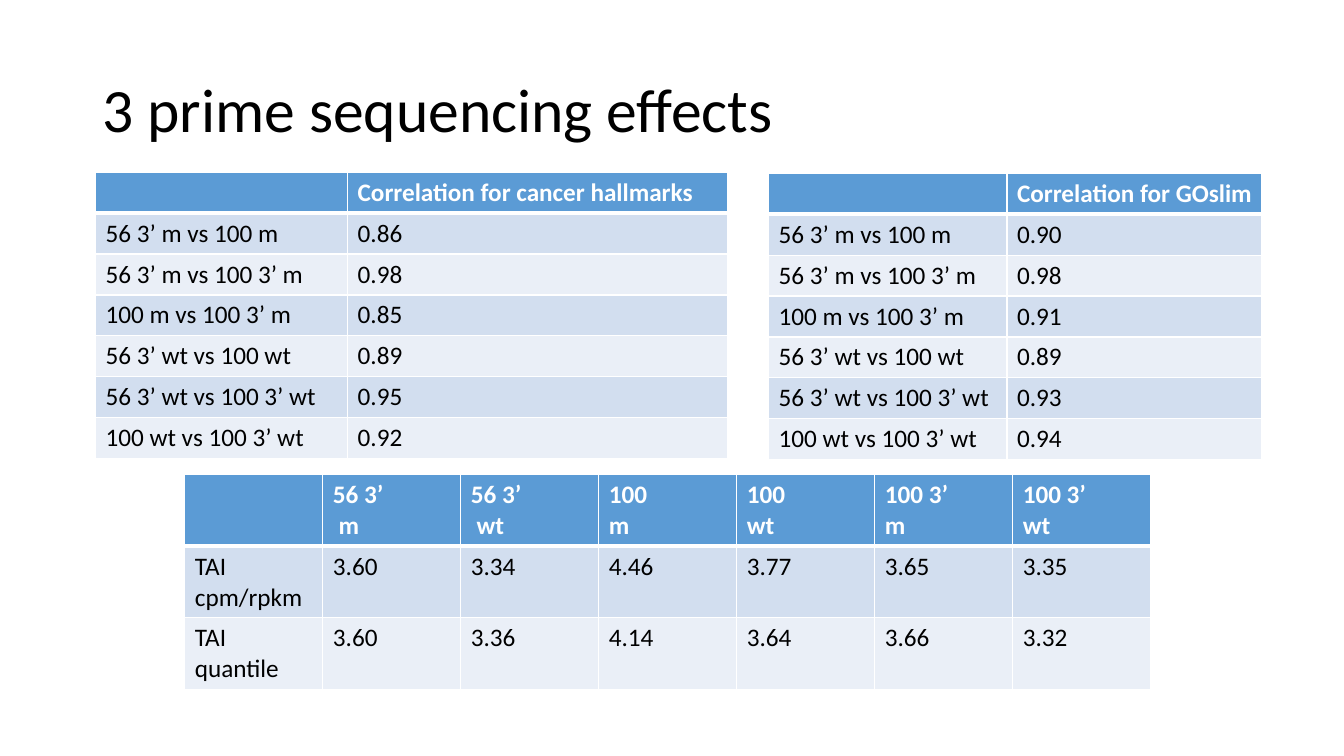
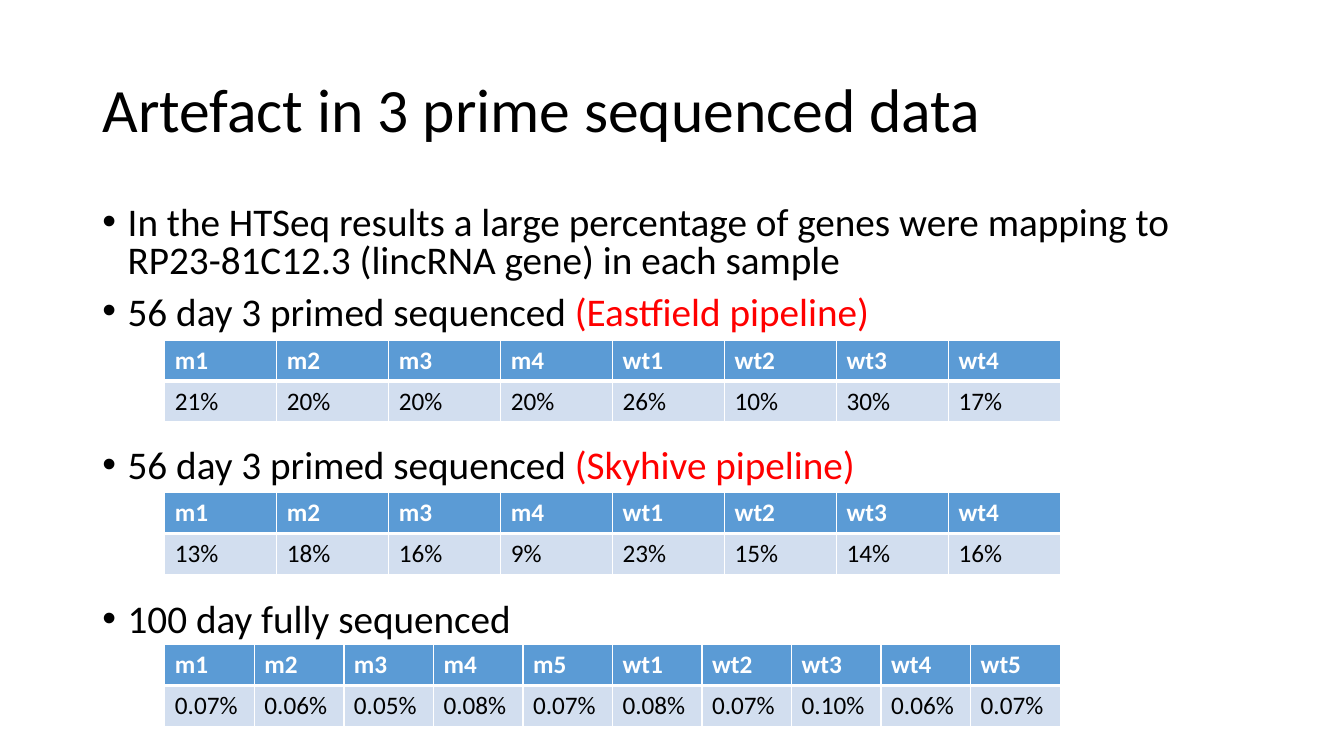
from dataclasses import dataclass

from lxml.etree import SubElement
from pptx import Presentation
from pptx.dml.color import RGBColor
from pptx.enum.text import MSO_ANCHOR, MSO_AUTO_SIZE, PP_ALIGN
from pptx.oxml.ns import qn
from pptx.util import Emu, Pt

EMU_PER_PX = 9525
FONT = "Calibri"
BLACK, WHITE, RED = "000000", "FFFFFF", "FF0000"
HEADER_FILL = "5B9BD5"
BAND_FILLS = ("D2DEEF", "EAEFF7")
THIN, THICK = 1, 3

TITLE_BOX = (88, 38, 1104, 139)
BODY_BOX = (88, 192, 1104, 457)
BULLET_INDENT = 24
BULLET_GAP, TABLE_GAP = 10, 83

TITLE_FORMAT = {"alignment": PP_ALIGN.LEFT, "line_spacing": 0.9}
BODY_FORMAT = {"alignment": PP_ALIGN.LEFT, "line_spacing": 0.8}


@dataclass(frozen=True)
class Table:
    left: int
    top: int
    width: int
    row_height: int
    rows: tuple[tuple[str, ...], ...]
    shares: tuple[int, ...] = ()  # relative column widths; equal when empty


@dataclass(frozen=True)
class Bullet:
    text: str
    source: str = ""
    gap: int = BULLET_GAP


COMPARISONS = (
    "56 3’ m vs 100 m", "56 3’ m vs 100 3’ m", "100 m vs 100 3’ m",
    "56 3’ wt vs 100 wt", "56 3’ wt vs 100 3’ wt", "100 wt vs 100 3’ wt",
)
HALLMARKS = ("0.86", "0.98", "0.85", "0.89", "0.95", "0.92")
GOSLIM = ("0.90", "0.98", "0.91", "0.89", "0.93", "0.94")

EFFECT_TABLES = (
    Table(91, 164, 602, 39,
          (("", "Correlation for cancer hallmarks"), *zip(COMPARISONS, HALLMARKS)),
          (240, 362)),
    Table(732, 165, 470, 39,
          (("", "Correlation for GOslim"), *zip(COMPARISONS, GOSLIM)),
          (227, 243)),
    Table(176, 452, 920, 68, (
        ("", "56 3’\n m", "56 3’\n wt", "100\nm", "100\nwt", "100 3’\nm", "100 3’\nwt"),
        ("TAI cpm/rpkm", "3.60", "3.34", "4.46", "3.77", "3.65", "3.35"),
        ("TAI quantile", "3.60", "3.36", "4.14", "3.64", "3.66", "3.32"),
    )),
)

BULLETS = (
    Bullet("In the HTSeq results a large percentage of genes were mapping to "
           "RP23-81C12.3 (lincRNA gene) in each sample"),
    Bullet("56 day 3 primed sequenced ", "(Eastfield pipeline)"),
    Bullet("56 day 3 primed sequenced ", "(Skyhive pipeline)", TABLE_GAP),
    Bullet("100 day fully sequenced", gap=TABLE_GAP),
)

SAMPLE_PERCENTAGES = (
    ("21%", "20%", "20%", "20%", "26%", "10%", "30%", "17%"),
    ("13%", "18%", "16%", "9%", "23%", "15%", "14%", "16%"),
    ("0.07%", "0.06%", "0.05%", "0.08%", "0.07%",
     "0.08%", "0.07%", "0.10%", "0.06%", "0.07%"),
)
SAMPLE_TOP, SAMPLE_STEP = 324, 145


def px(n: int) -> Emu:
    return Emu(n * EMU_PER_PX)


def rgb(color: str) -> RGBColor:
    return RGBColor.from_string(color)


def set_attrs(obj, values: dict) -> None:
    for name, value in values.items():
        setattr(obj, name, value)


def set_font(font, size: int, color: str, bold: bool = False) -> None:
    set_attrs(font, {"name": FONT, "size": Pt(size), "bold": bold})
    font.color.rgb = rgb(color)


def place(sp, box: tuple[int, int, int, int]) -> None:
    set_attrs(sp, dict(zip(("left", "top", "width", "height"), map(px, box))))


def add_run(p, text: str, size: int, color: str) -> None:
    r = p.add_run()
    r.text = text
    set_font(r.font, size, color)


def add_slide(prs, layout: int, title: str):
    s = prs.slides.add_slide(prs.slide_layouts[layout])
    sp = s.shapes.title
    place(sp, TITLE_BOX)
    tf = sp.text_frame
    set_attrs(tf, {"auto_size": MSO_AUTO_SIZE.NONE,
                   "vertical_anchor": MSO_ANCHOR.MIDDLE})
    p = tf.paragraphs[0]
    set_attrs(p, TITLE_FORMAT)
    add_run(p, title, 44, BLACK)
    return s


def add_bullets(s, bullets: tuple[Bullet, ...]) -> None:
    sp = s.placeholders[1]
    place(sp, BODY_BOX)
    tf = sp.text_frame
    tf.auto_size = MSO_AUTO_SIZE.NONE
    for i, bullet in enumerate(bullets):
        p = tf.add_paragraph() if i else tf.paragraphs[0]
        set_attrs(p, {**BODY_FORMAT, "space_before": Pt(bullet.gap)})
        pPr = p._p.get_or_add_pPr()
        pPr.set("marL", str(px(BULLET_INDENT)))
        pPr.set("indent", str(px(-BULLET_INDENT)))
        add_run(p, bullet.text, 28, BLACK)
        if bullet.source:
            add_run(p, bullet.source, 28, RED)


def set_borders(cell, top: int, bottom: int) -> None:
    """Draw white cell edges; call before filling, as the schema puts lines first."""
    tcPr = cell._tc.get_or_add_tcPr()
    for side, width in zip("LRTB", (THIN, THIN, top, bottom)):
        ln = SubElement(tcPr, qn(f"a:ln{side}"), w=str(Pt(width)))
        fill = SubElement(ln, qn("a:solidFill"))
        SubElement(fill, qn("a:srgbClr"), val=WHITE)


def add_table(s, table: Table) -> None:
    n_rows, n_cols = len(table.rows), len(table.rows[0])
    frame = s.shapes.add_table(n_rows, n_cols, *map(px, (
        table.left, table.top, table.width, table.row_height * n_rows)))
    tbl = frame.table
    tbl.horz_banding = False
    shares = table.shares or (1,) * n_cols
    for col, share in zip(tbl.columns, shares):
        col.width = px(table.width) * share // sum(shares)
    for i, values in enumerate(table.rows):
        header = i == 0
        tbl.rows[i].height = px(table.row_height)
        for j, text in enumerate(values):
            cell = tbl.cell(i, j)
            set_borders(cell, THICK if i == 1 else THIN, THICK if header else THIN)
            cell.fill.solid()
            cell.fill.fore_color.rgb = rgb(
                HEADER_FILL if header else BAND_FILLS[(i - 1) % 2])
            cell.text = text
            for p in cell.text_frame.paragraphs:
                set_font(p.font, 18, WHITE if header else BLACK, header)
                for r in p.runs:
                    set_font(r.font, 18, WHITE if header else BLACK, header)


def sample_table(index: int, values: tuple[str, ...]) -> Table:
    """Head the values with mutant samples, then as many wild-type ones."""
    names = tuple(f"{group}{n}" for group in ("m", "wt")
                  for n in range(1, len(values) // 2 + 1))
    return Table(157, SAMPLE_TOP + index * SAMPLE_STEP, 853, 39, (names, values))


def main() -> None:
    prs = Presentation()
    set_attrs(prs, {"slide_width": px(1280), "slide_height": px(720)})

    s = add_slide(prs, 5, "3 prime sequencing effects")
    for table in EFFECT_TABLES:
        add_table(s, table)

    s = add_slide(prs, 1, "Artefact in 3 prime sequenced data")
    add_bullets(s, BULLETS)
    for i, values in enumerate(SAMPLE_PERCENTAGES):
        add_table(s, sample_table(i, values))

    prs.save("out.pptx")


if __name__ == "__main__":
    main()
